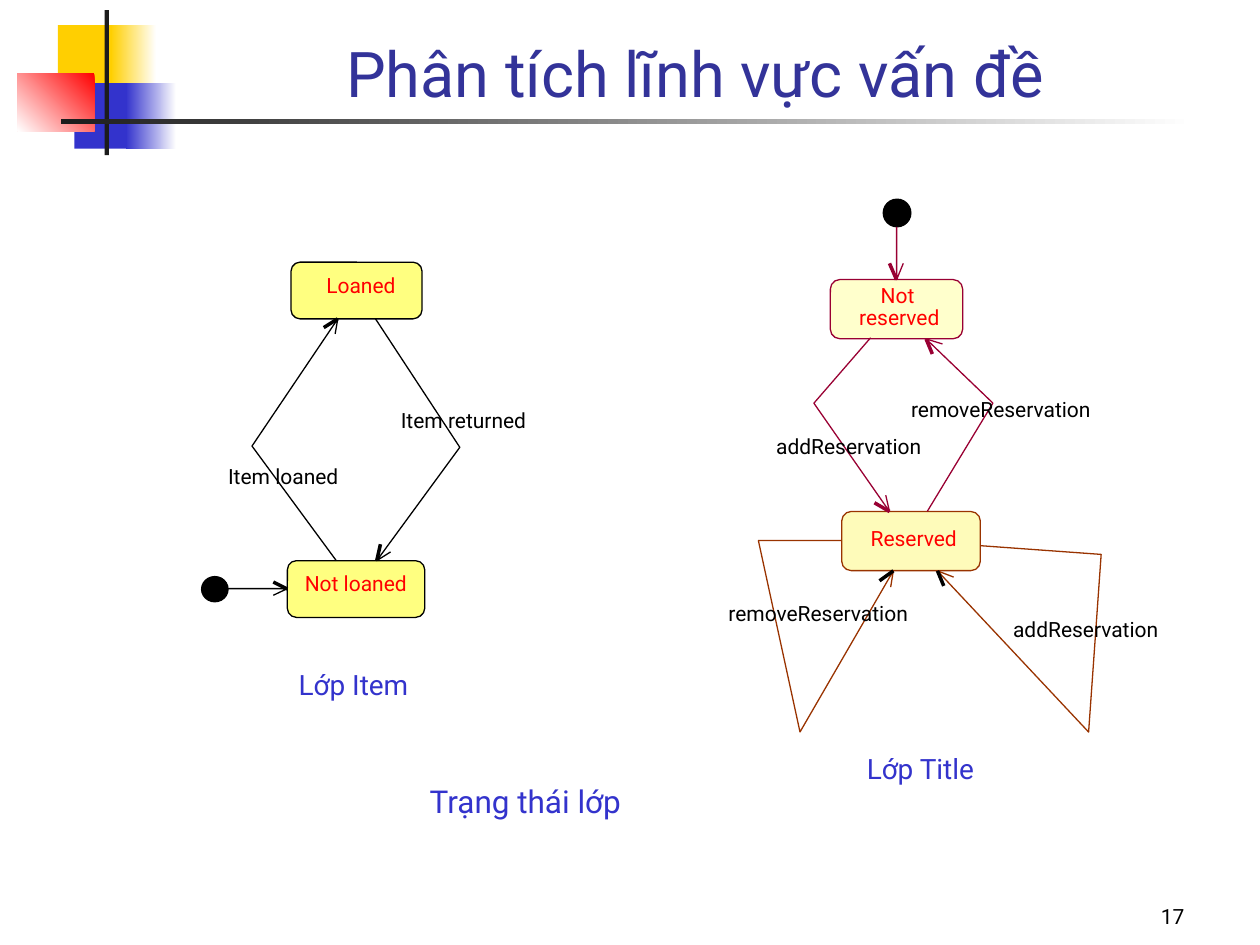
"""Build the class state diagram slide."""
from dataclasses import dataclass
from typing import Optional

from lxml.etree import SubElement
from pptx import Presentation
from pptx.dml.color import RGBColor
from pptx.enum.shapes import MSO_CONNECTOR, MSO_SHAPE
from pptx.enum.text import MSO_ANCHOR, MSO_AUTO_SIZE, PP_ALIGN
from pptx.oxml.ns import qn
from pptx.util import Pt

FONT = "Roboto"
BLACK, WHITE, RED, BLUE = "000000", "FFFFFF", "FF0000", "3333CC"
YELLOW, DARK, CRIMSON, BROWN = "FFCF01", "1C1C1C", "990033", "993300"
Point = tuple[float, float]
Box = tuple[float, float, float, float]


@dataclass
class Block:
    box: Box
    colors: tuple[str, ...]
    angle: float = 180


@dataclass
class State:
    name: str
    box: Box
    fill: str
    line: str = BLACK


@dataclass
class Transition:
    route: list[Point]
    wings: tuple[Point, Point]
    line: str = BLACK
    wing_line: str = BLACK
    target: Optional[str] = None
    side: int = 0


@dataclass
class Label:
    text: str
    box: Box
    color: str = BLACK
    size: float = 12
    align: PP_ALIGN = PP_ALIGN.LEFT
    margins: tuple[float, float] = (0, 0)
    fixed: bool = False


CAPTION = {"color": BLUE, "align": PP_ALIGN.CENTER, "margins": (7.2, 3.6)}

BLOCKS = [
    Block((33.1, 14.4, 34.6, 37.4), (YELLOW,)),
    Block((63.4, 14.4, 25.9, 37.4), (WHITE, YELLOW)),
    Block((42.5, 47.5, 33.1, 37.4), (BLUE,)),
    Block((72, 47.5, 28.8, 37.4), (WHITE, BLUE)),
    Block((10, 41.8, 44, 33.1), (RED, WHITE), 225),
    Block((59.8, 5.8, 2.4, 82.8), (DARK,)),
    Block((34.6, 68.2, 648, 2.4), (WHITE, DARK)),
]
STARTS = [(115.2, 329.5, 15.1, 14.4), (504.7, 113.8, 15.8, 15.8)]
STATES = [
    State("Not loaned", (164.2, 320.4, 78.5, 32.4), "FFFF80"),
    State("Loaned", (166.3, 149.8, 74.9, 32.4), "FFFF80"),
    State("Reserved", (481, 292.3, 79.2, 33.8), "FEFBBA", BROWN),
    State("Not reserved", (474.5, 159.8, 75.6, 33.8), "FFFFCC", CRIMSON),
]
TRANSITIONS = [
    Transition([(130.3, 336.4), (164.2, 336.4)], ((156.2, 340.2), (156.2, 332.6)),
               target="Not loaned", side=1),
    Transition([(214.6, 182.2), (262.8, 255.6), (215.3, 320.4)],
               ((223.2, 315.4), (217.4, 311))),
    Transition([(192.2, 320.4), (144, 254.9), (193, 182.2)],
               ((191.5, 190.8), (185, 187.2))),
    Transition([(512.4, 129.6), (512.4, 159.8)], ((516.2, 150.5), (508.3, 150.5)),
               CRIMSON, CRIMSON, "Not reserved"),
    Transition([(497.5, 193), (465.1, 230.4), (508.3, 292.3)],
               ((506.2, 283), (499.7, 287.3)), CRIMSON, CRIMSON),
    Transition([(529.9, 292.3), (567.4, 230.4), (529.2, 193.7)],
               ((538.6, 196.6), (532.8, 202.3)), CRIMSON, CRIMSON),
    Transition([(560.2, 311.8), (629.3, 316.8), (622.1, 418.3), (535.7, 326.2)],
               ((545, 329.8), (539.3, 334.8)), BROWN),
    Transition([(481, 308.9), (433.4, 308.9), (457.2, 418.3), (510.5, 326.2)],
               ((509, 335.5), (502.6, 331.9)), BROWN),
]
LABELS = [
    Label("Not loaned", (174.2, 326.2, 62.6, 14.4), RED),
    Label("Loaned", (186.5, 155.5, 41.8, 14.4), RED),
    Label("Reserved", (497.5, 300.2, 51.8, 14.4), RED),
    Label("Not", (503.3, 161.3, 23.8, 14.4), RED),
    Label("reserved", (491, 174.2, 49.7, 14.4), RED),
    Label("Item returned", (229, 232.6, 79.9, 14.4)),
    Label("Item loaned", (130.3, 265, 68.4, 14.4)),
    Label("addReservation", (443.5, 247.7, 87.8, 14.4)),
    Label("addReservation", (578.9, 352.1, 87.8, 14.4)),
    Label("removeReservation", (416.2, 343.4, 109.4, 14.4)),
    Label("removeReservation", (520.6, 226.8, 109.4, 14.4)),
    Label("Lớp Item", (161.3, 378, 81.4, 26.6), size=16, **CAPTION),
    Label("Lớp Title", (486.7, 426.2, 78.5, 26.6), size=16, **CAPTION),
    Label("Trạng thái lớp", (234, 443.5, 132.5, 28.8), size=18, **CAPTION),
    Label("17", (534.2, 498.2, 149.8, 36), align=PP_ALIGN.RIGHT,
          margins=(7.2, 3.6), fixed=True),
]


def rgb(value: str) -> RGBColor:
    """Turn a hex string into a colour."""
    return RGBColor.from_string(value)


def points(values) -> list:
    """Turn numbers into point lengths."""
    return [Pt(value) for value in values]


def apply(target, formats: dict) -> None:
    """Set each named attribute on the target."""
    for name, value in formats.items():
        setattr(target, name, value)


def set_line(shape, color: str) -> None:
    """Give a shape a hairline."""
    shape.line.color.rgb = rgb(color)
    shape.line.width = Pt(0)


def add_filled(slide, kind, box: Box, fill: str, line: Optional[str] = None):
    """Add a flat preset shape."""
    shape = slide.shapes.add_shape(kind, *points(box))
    shape.shadow.inherit = False
    shape.fill.solid()
    shape.fill.fore_color.rgb = rgb(fill)
    if line:
        set_line(shape, line)
    else:
        shape.line.fill.background()
    return shape


def add_block(slide, block: Block) -> None:
    """Add a solid or gradient decoration block."""
    shape = add_filled(slide, MSO_SHAPE.RECTANGLE, block.box, block.colors[0])
    if len(block.colors) > 1:
        shape.fill.gradient()
        shape.fill.gradient_angle = block.angle
        for stop, color in zip(shape.fill.gradient_stops, block.colors):
            stop.color.rgb = rgb(color)


def add_state(slide, state: State):
    """Add a rounded state box."""
    shape = add_filled(slide, MSO_SHAPE.ROUNDED_RECTANGLE, state.box, state.fill, state.line)
    shape.adjustments[0] = 0.16
    return shape


def add_transition(slide, transition: Transition, states: dict) -> None:
    """Add a route with an open arrowhead at its end."""
    first_wing, second_wing = transition.wings
    start, *rest = [points(point) for point in transition.route + [first_wing]]
    builder = slide.shapes.build_freeform(*start)
    builder.add_line_segments(rest, close=False)
    route = builder.convert_to_shape()
    route.shadow.inherit = False
    route.fill.background()
    set_line(route, transition.line)
    wing = slide.shapes.add_connector(
        MSO_CONNECTOR.STRAIGHT, *points(transition.route[-1] + second_wing))
    if transition.target:
        wing.begin_connect(states[transition.target], transition.side)
    set_line(wing, transition.wing_line)
    SubElement(wing.element.spPr, qn("a:effectLst"))


def write_text(shape, label: Label) -> None:
    """Write and format the text of a shape."""
    horizontal, vertical = points(label.margins)
    frame = shape.text_frame
    frame.text = label.text
    apply(frame, {
        "margin_left": horizontal, "margin_right": horizontal,
        "margin_top": vertical, "margin_bottom": vertical,
        "word_wrap": label.fixed,
        "auto_size": MSO_AUTO_SIZE.NONE if label.fixed else MSO_AUTO_SIZE.SHAPE_TO_FIT_TEXT,
        "vertical_anchor": MSO_ANCHOR.BOTTOM if label.fixed else MSO_ANCHOR.TOP,
    })
    paragraph = frame.paragraphs[0]
    paragraph.alignment = label.align
    font = paragraph.runs[0].font
    apply(font, {"name": FONT, "size": Pt(label.size)})
    font.color.rgb = rgb(label.color)


def main() -> None:
    """Build and save the presentation."""
    presentation = Presentation()
    apply(presentation, {"slide_width": Pt(720), "slide_height": Pt(540)})
    slide = presentation.slides.add_slide(presentation.slide_layouts[5])
    for block in BLOCKS:
        add_block(slide, block)
    title = Label("Phân tích lĩnh vực vấn đề", (90.7, 5.8, 613.4, 60.5), "333399", 36,
                  PP_ALIGN.CENTER, (7.2, 3.6), True)
    apply(slide.shapes.title, dict(zip(("left", "top", "width", "height"), points(title.box))))
    write_text(slide.shapes.title, title)
    for box in STARTS:
        add_filled(slide, MSO_SHAPE.OVAL, box, BLACK, BLACK)
    states = {state.name: add_state(slide, state) for state in STATES}
    for transition in TRANSITIONS:
        add_transition(slide, transition, states)
    for label in LABELS:
        write_text(slide.shapes.add_textbox(*points(label.box)), label)
    presentation.save("out.pptx")


if __name__ == "__main__":
    main()
